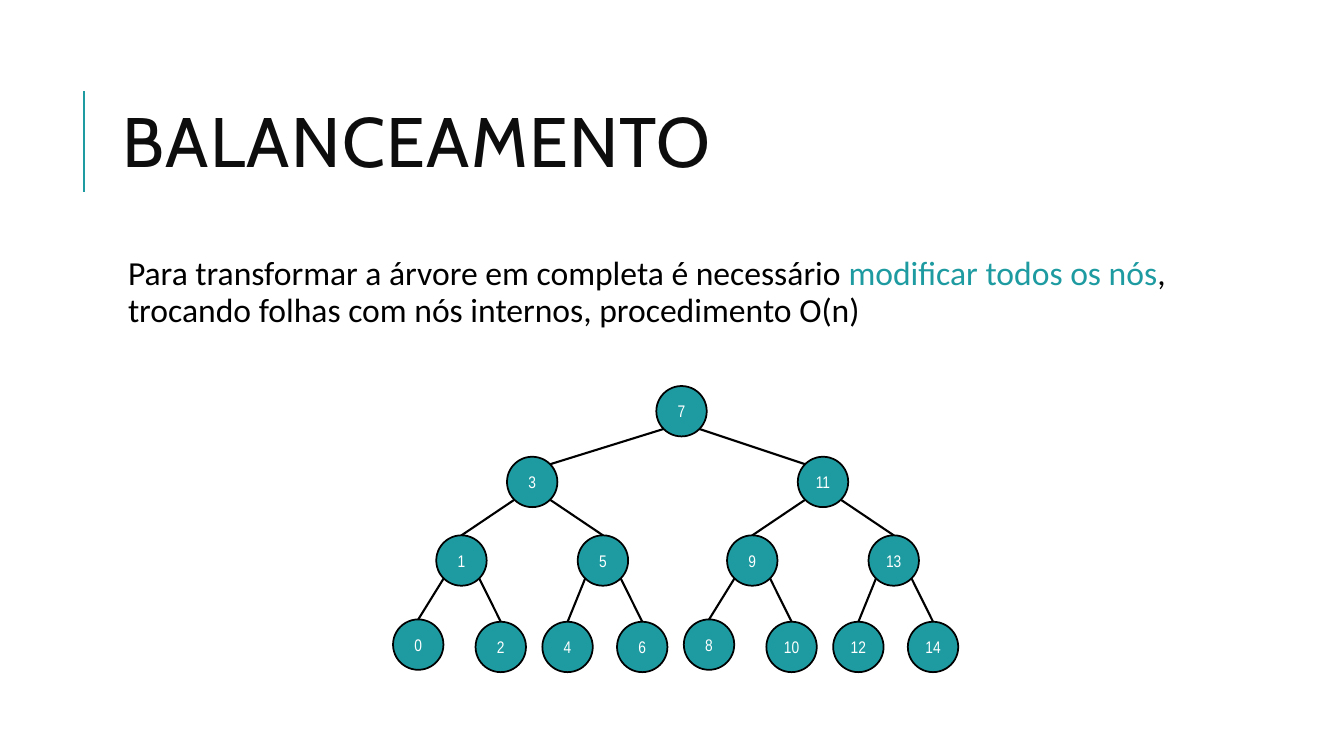
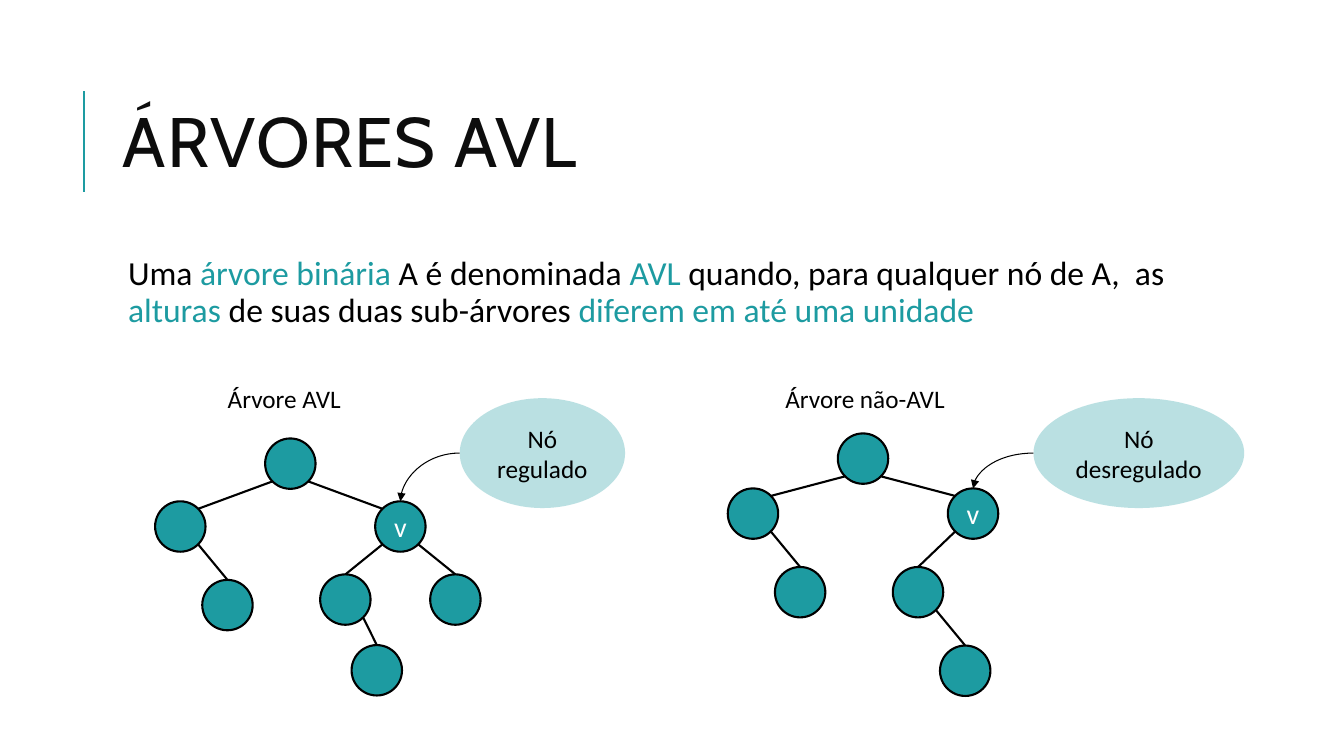
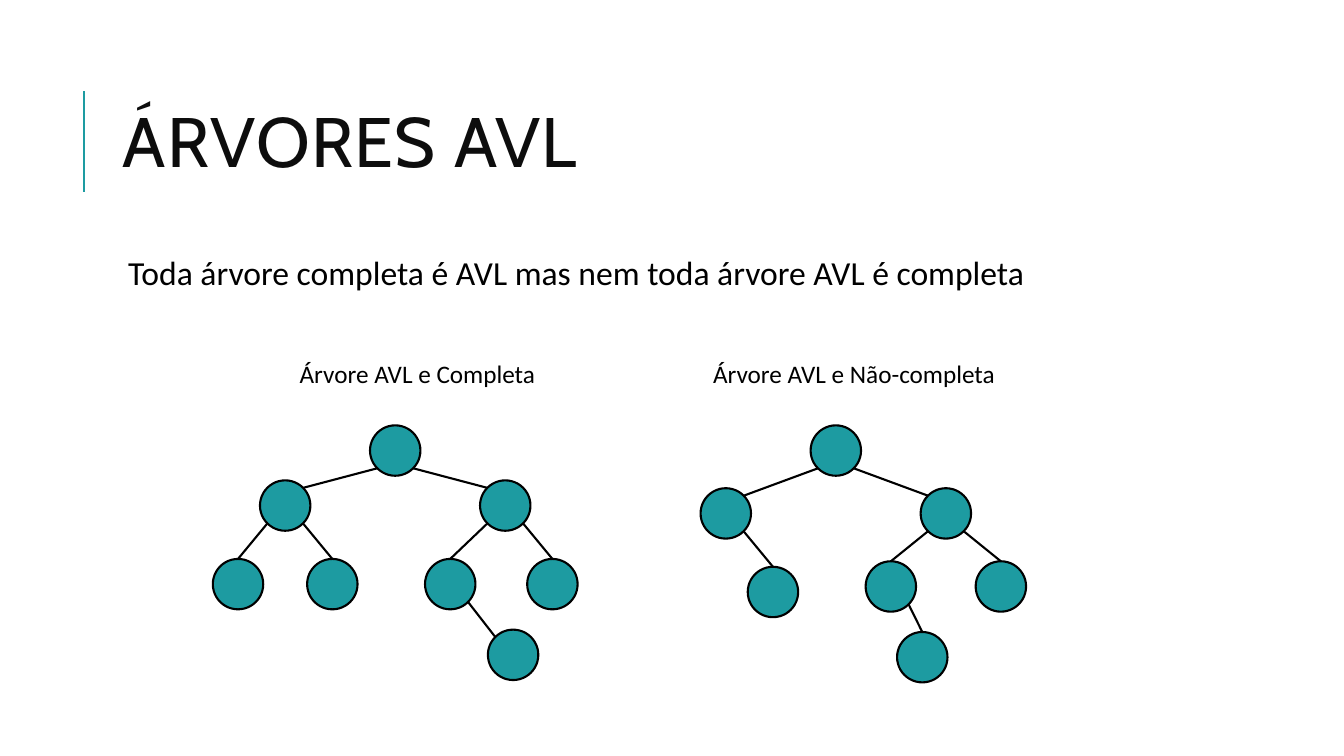
from lxml import etree
from pptx import Presentation, util as u
from pptx.dml.color import RGBColor
from pptx.enum import shapes, text
from pptx.oxml.ns import qn

hue = RGBColor.from_string
TEAL, BLACK, WHITE, INK = "1D9BA1", "000000", "FFFFFF", "0D0D0D"

deck = Presentation()
deck.slide_width, deck.slide_height = u.Inches(13.33), u.Inches(7.5)
CELL = deck.slide_width / 171  # step of the grid that the trees stand on
NODE = u.Inches(0.5)
REACH = NODE * 0.35  # from a node's centre to its diagonal points


def write(frame, runs, size, font="Calibri", mid=True):
    """Fill a frame with one paragraph of (words, colour) runs."""
    frame.word_wrap = True
    para = frame.paragraphs[0]
    para.font.size, para.font.name = u.Pt(size), font
    if mid:
        para.alignment = text.PP_ALIGN.CENTER
        frame.vertical_anchor = text.MSO_ANCHOR.MIDDLE
    for words, tint in runs:
        run = para.add_run()
        run.text = words
        run.font.color.rgb = hue(tint)
    return para


def link(page, start, end, tint=BLACK, width=1.5, kind=shapes.MSO_CONNECTOR.STRAIGHT):
    """Draw a connector without a shadow."""
    line = page.shapes.add_connector(kind, *(round(v) for v in (*start, *end)))
    line.line.color.rgb, line.line.width = hue(tint), u.Pt(width)
    etree.SubElement(line._element.spPr, qn("a:effectLst"))
    return line


# A node is (path from the root, column, row, label); places count from the root.
numbers = [
    ("", 0, 0, "7"), ("L", -19, 9, "3"), ("R", 18, 9, "11"),
    ("LL", -28, 19, "1"), ("LR", -10, 19, "5"),
    ("RL", 9, 19, "9"), ("RR", 27, 19, "13"),
    ("LLL", -33.5, 29.7, "0"), ("LLR", -23, 30, "2"),
    ("LRL", -14.5, 30, "4"), ("LRR", -5, 30, "6"),
    ("RLL", 3.5, 29.7, "8"), ("RLR", 14, 30, "10"),
    ("RRL", 22.5, 30, "12"), ("RRR", 32, 30, "14"),
]
sparse = [
    ("", 0, 0, ""), ("L", -14, 8, ""), ("R", 14, 8, ""), ("LR", -8, 18, ""),
    ("RL", 7, 17.3, ""), ("RR", 21, 17.3, ""), ("RLR", 11, 26.3, ""),
]
broken = [
    ("", 0, 0, ""), ("L", -14, 7, ""), ("R", 14, 7, "v"), ("LR", -8, 17, ""),
    ("RL", 7, 17, ""), ("RLR", 13, 27, ""),
]
full = [
    ("", 0, 0, ""), ("L", -14, 7, ""), ("R", 14, 7, ""), ("LL", -20, 17, ""),
    ("LR", -8, 17, ""), ("RL", 7, 17, ""), ("RR", 20, 17, ""), ("RLR", 15, 26, ""),
]
marked = [(*node[:3], "v" if node[0] == "R" else "") for node in sparse]

# Title, body runs, (node outline, label size, label font),
# trees as (nodes, root left, root top), captions as (words, centre, top),
# callouts as (words, left, width), one for each tree.
pages = [
    ("BALANCEAMENTO",
     [("Para transformar a árvore em completa é necessário ", BLACK),
      ("modificar todos os nós", TEAL),
      (", trocando folhas com nós internos, procedimento O(n)", BLACK)],
     (1.25, 12, "Arial Narrow"),
     [(numbers, 6.51, 3.83)], [], []),
    ("ÁRVORES AVL",
     [("Uma ", BLACK), ("árvore binária", TEAL), (" A é denominada ", BLACK),
      ("AVL", TEAL), (" quando, para qualquer nó de A,  as ", BLACK),
      ("alturas", TEAL), (" de suas duas sub-árvores ", BLACK),
      ("diferem em até uma unidade", TEAL)],
     (1.5, 20, "Calibri"),
     [(marked, 2.63, 4.35), (broken, 8.31, 4.3)],
     [("Árvore AVL", 2.82, 3.75), ("Árvore não-AVL", 8.58, 3.75)],
     [("Nó regulado", 4.56, 1.64), ("Nó desregulado", 10.25, 2.09)]),
    ("ÁRVORES AVL",
     [("Toda árvore completa é AVL mas nem toda árvore AVL é completa", BLACK)],
     (1.5, 20, "Calibri"),
     [(full, 3.67, 4.22), (sparse, 8.04, 4.22)],
     [("Árvore AVL e Completa", 4.14, 3.51), ("Árvore AVL e Não-completa", 8.47, 3.51)],
     []),
]

for title, body, (edge, size, font), trees, heads, notes in pages:
    page = deck.slides.add_slide(deck.slide_layouts[6])
    bar = u.Inches(0.83)
    link(page, (bar, u.Inches(1.9)), (bar, u.Inches(0.9)), TEAL)

    left, wide = u.Inches(1.12), u.Inches(10.63)
    box = page.shapes.add_textbox(left, u.Inches(0.64), wide, u.Inches(1.64))
    para = write(box.text_frame, [(title, INK)], 50, "Cabin", mid=False)
    box.text_frame.vertical_anchor = text.MSO_ANCHOR.MIDDLE
    para.line_spacing = 0.8
    para.runs[0].font._element.set("spc", "100")

    box = page.shapes.add_textbox(left, u.Inches(2.5), wide, u.Inches(4.4))
    frame = box.text_frame
    frame.margin_left = u.Inches(0.15)
    frame.margin_top = frame.margin_right = frame.margin_bottom = u.Inches(0.05)
    para = write(frame, body, 24, mid=False)
    para.line_spacing, para.space_before, para.space_after = 0.9, u.Pt(12), u.Pt(2)

    targets = []
    for tree, x, y in trees:
        spots = {}
        for way, col, row, label in tree:
            cx = u.Inches(x) + col * CELL + NODE / 2
            cy = u.Inches(y) + row * CELL + NODE / 2
            spots[way] = cx, cy
            node = page.shapes.add_shape(
                shapes.MSO_SHAPE.OVAL, round(cx - NODE / 2), round(cy - NODE / 2), NODE, NODE)
            node.shadow.inherit = False
            node.fill.solid()
            node.fill.fore_color.rgb = hue(TEAL)
            node.line.color.rgb, node.line.width = hue(BLACK), u.Pt(edge)
            if label:
                frame = node.text_frame
                frame.margin_left = frame.margin_right = 0
                write(frame, [(label, WHITE)], size, font)
            if label == "v":
                targets.append((node, (cx, cy - NODE / 2)))
            if way:
                px, py = spots[way[:-1]]
                side = -1 if way[-1] == "L" else 1
                end = cx, cy - NODE / 2
                if len(way) != 2 and abs(cx - px) > u.Inches(0.6):
                    end = cx - side * REACH, cy - REACH
                link(page, (px + side * REACH, py + REACH), end)

    for words, mid, top in heads:
        span = u.Inches(3.04)
        box = page.shapes.add_textbox(
            round(u.Inches(mid) - span / 2), u.Inches(top), span, u.Inches(0.4))
        write(box.text_frame, [(words, BLACK)], 18)
        box.text_frame.word_wrap = False

    for (words, x, span), (node, tip) in zip(notes, targets):
        note = page.shapes.add_shape(
            shapes.MSO_SHAPE.OVAL, u.Inches(x), u.Inches(3.95), u.Inches(span), u.Inches(1.09))
        note.shadow.inherit = False
        note.fill.solid()
        note.fill.fore_color.rgb = hue(TEAL)
        tint = note._element.spPr.find(".//" + qn("a:srgbClr"))
        etree.SubElement(tint, qn("a:alpha"), val="30000")
        note.line.fill.background()
        write(note.text_frame, [(words, BLACK)], 18)

        start = note.left, note.top + note.height / 2
        arc = link(page, start, tip, width=0.75, kind=shapes.MSO_CONNECTOR.CURVE)
        arc.begin_connect(note, 1)
        arc.end_connect(node, 0)
        # An oval counts eight joints, so its left one is number 2.
        arc._element.find(".//" + qn("a:stCxn")).set("idx", "2")
        arc._element.find(".//" + qn("a:prstGeom")).set("prst", "curvedConnector2")
        etree.SubElement(arc.line._get_or_add_ln(), qn("a:tailEnd"), type="triangle")

deck.save("out.pptx")
